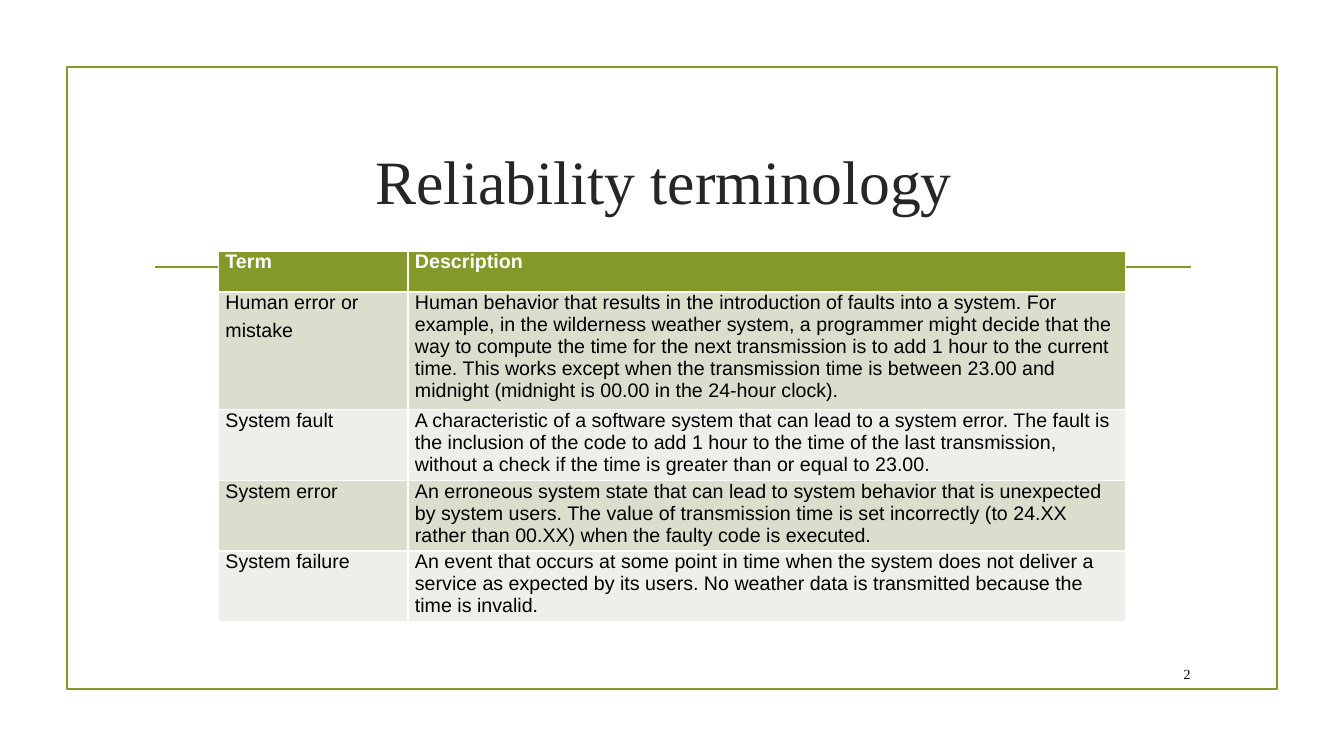
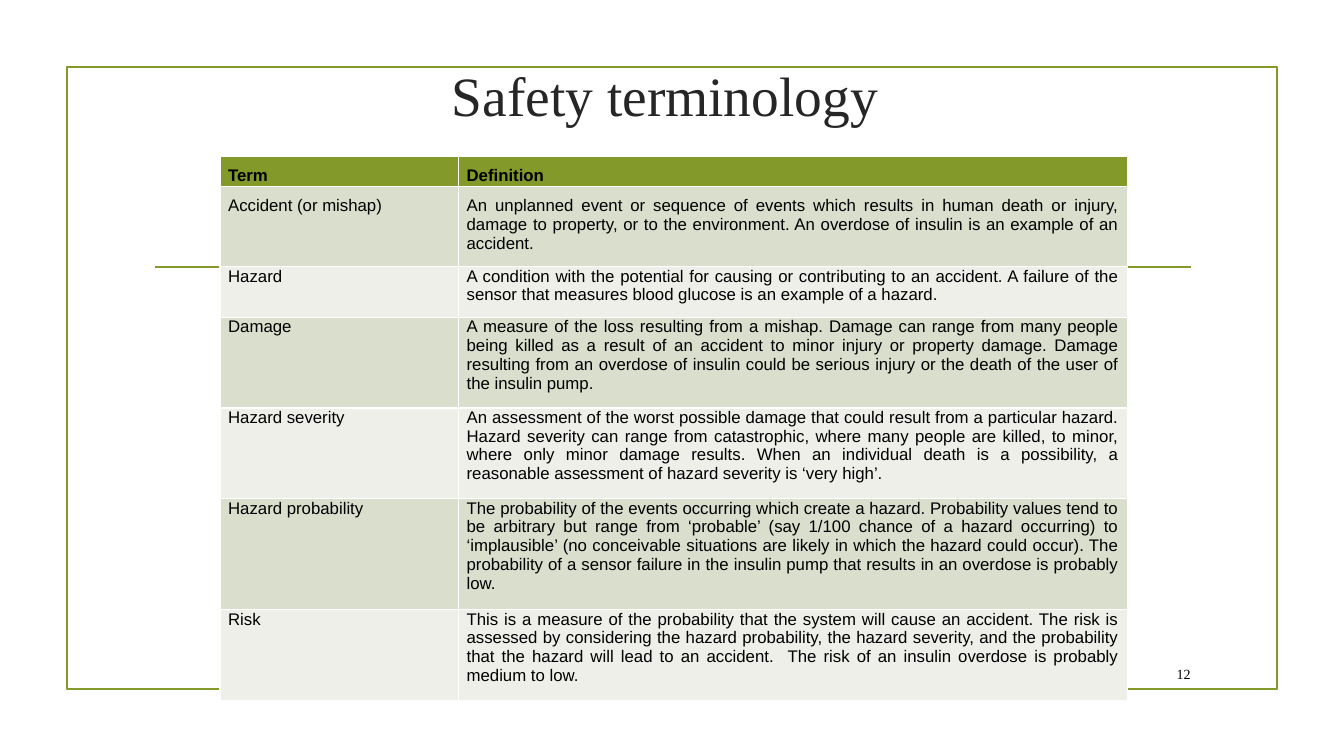
import lxml.etree
import pptx
import pptx.dml.color
import pptx.enum.shapes
import pptx.enum.text
import pptx.oxml.ns
import pptx.util

WIDTH, HEIGHT = 13.33, 7.5
COLUMNS, ROWS = 40, 22.5
GREEN, DARK, BLACK, WHITE = "83992A", "262626", "000000", "FFFFFF"
BANDS = ("D9DECD", "EDEFE8")
SERIF, SANS = "Times New Roman", "Arial"
ALIGN = pptx.enum.text.PP_ALIGN
ANCHOR = pptx.enum.text.MSO_ANCHOR

RELIABILITY = [
    ("Term", "Description"),
    ("Human error or\nmistake",
     "Human behavior that results in the introduction of faults into a system. "
     "For example, in the wilderness weather system, a programmer might decide "
     "that the way to compute the time for the next transmission is to add 1 hour "
     "to the current time. This works except when the transmission time is between "
     "23.00 and midnight (midnight is 00.00 in the 24-hour clock)."),
    ("System fault",
     "A characteristic of a software system that can lead to a system error. The "
     "fault is the inclusion of the code to add 1 hour to the time of the last "
     "transmission, without a check if the time is greater than or equal to 23.00."),
    ("System error",
     "An erroneous system state that can lead to system behavior that is unexpected "
     "by system users. The value of transmission time is set incorrectly (to 24.XX "
     "rather than 00.XX) when the faulty code is executed."),
    ("System failure",
     "An event that occurs at some point in time when the system does not deliver a "
     "service as expected by its users. No weather data is transmitted because the "
     "time is invalid."),
]

SAFETY = [
    ("Term", "Definition"),
    ("Accident (or mishap)",
     "An unplanned event or sequence of events which results in human death or "
     "injury, damage to property, or to the environment. An overdose of insulin is "
     "an example of an accident."),
    ("Hazard",
     "A condition with the potential for causing or contributing to an accident. A "
     "failure of the sensor that measures blood glucose is an example of a hazard."),
    ("Damage",
     "A measure of the loss resulting from a mishap. Damage can range from many "
     "people being killed as a result of an accident to minor injury or property "
     "damage. Damage resulting from an overdose of insulin could be serious injury "
     "or the death of the user of the insulin pump."),
    ("Hazard severity",
     "An assessment of the worst possible damage that could result from a particular "
     "hazard. Hazard severity can range from catastrophic, where many people are "
     "killed, to minor, where only minor damage results. When an individual death is "
     "a possibility, a reasonable assessment of hazard severity is ‘very high’."),
    ("Hazard probability",
     "The probability of the events occurring which create a hazard. Probability "
     "values tend to be arbitrary but range from ‘probable’ (say 1/100 chance of a "
     "hazard occurring) to ‘implausible’ (no conceivable situations are likely in "
     "which the hazard could occur). The probability of a sensor failure in the "
     "insulin pump that results in an overdose is probably low."),
    ("Risk",
     "This is a measure of the probability that the system will cause an accident. "
     "The risk is assessed by considering the hazard probability, the hazard "
     "severity, and the probability that the hazard will lead to an accident.  The "
     "risk of an insulin overdose is probably medium to low."),
]


def color(value):
    return pptx.dml.color.RGBColor.from_string(value)


def across(columns):
    return pptx.util.Inches(WIDTH * columns / COLUMNS)


def down(rows):
    return pptx.util.Inches(HEIGHT * rows / ROWS)


def area(left, top, width, height):
    return across(left), down(top), across(width), down(height)


def write_text(frame, text, size, font=SANS, ink=BLACK, bold=False,
               align=ALIGN.LEFT, after=0):
    frame.word_wrap = True
    for index, line in enumerate(text.split("\n")):
        para = frame.add_paragraph() if index else frame.paragraphs[0]
        para.alignment = align
        para.space_after = pptx.util.Pt(after)
        span = para.add_run()
        span.text = line
        span.font.size = pptx.util.Pt(size)
        span.font.name = font
        span.font.bold = bold
        span.font.color.rgb = color(ink)


def add_text(page, place, text, **style):
    box = page.shapes.add_textbox(*area(*place))
    box.text_frame.vertical_anchor = ANCHOR.MIDDLE
    write_text(box.text_frame, text, font=SERIF, **style)


def style_line(line):
    line.color.rgb = color(GREEN)
    line.width = pptx.util.Pt(1.25)


def add_border(page):
    border = page.shapes.add_shape(
        pptx.enum.shapes.MSO_SHAPE.RECTANGLE, *area(2, 2, 36, 18.5))
    border.shadow.inherit = False
    border.fill.background()
    style_line(border.line)


def add_rule(page):
    rule = page.shapes.add_connector(
        pptx.enum.shapes.MSO_CONNECTOR.STRAIGHT,
        across(4.6), down(7.95), across(35.44), down(7.95))
    style_line(rule.line)
    lxml.etree.SubElement(rule._element.spPr, pptx.oxml.ns.qn("a:effectLst"))


def add_page(deck, title, title_top, title_height, title_size, number):
    page = deck.slides.add_slide(deck.slide_layouts[6])
    page.background.fill.solid()
    page.background.fill.fore_color.rgb = color(WHITE)
    add_border(page)
    add_rule(page)
    add_text(page, (4.25, title_top, 31.5, title_height), title,
             size=title_size, ink=DARK, align=ALIGN.CENTER)
    add_text(page, (33.96, 19.6, 1.77, 0.92), number,
             size=10, align=ALIGN.RIGHT)
    return page


def outline_cell(cell):
    properties = cell._tc.get_or_add_tcPr()
    for side in ("a:lnL", "a:lnR", "a:lnT", "a:lnB"):
        edge = lxml.etree.SubElement(
            properties, pptx.oxml.ns.qn(side), w=str(pptx.util.Pt(1)))
        fill = lxml.etree.SubElement(edge, pptx.oxml.ns.qn("a:solidFill"))
        lxml.etree.SubElement(fill, pptx.oxml.ns.qn("a:srgbClr"), val=WHITE)


def fill_cell(cell, text, fill, insets, **style):
    outline_cell(cell)
    cell.fill.solid()
    cell.fill.fore_color.rgb = color(fill)
    side, top, bottom = map(pptx.util.Inches, insets)
    cell.margin_left = cell.margin_right = side
    cell.margin_top, cell.margin_bottom = top, bottom
    write_text(cell.text_frame, text, **style)


def add_terms(page, content, left, top, widths, heights, insets, header_ink, **style):
    table = page.shapes.add_table(
        len(content), len(widths),
        *area(left, top, sum(widths), sum(heights))).table
    table.first_row = table.horz_banding = False
    for column, width in zip(table.columns, widths):
        column.width = across(width)
    for index, texts in enumerate(content):
        table.rows[index].height = down(heights[index])
        header = index == 0
        fill = GREEN if header else BANDS[(index - 1) % 2]
        for cell, text in zip(table.rows[index].cells, texts):
            fill_cell(cell, text, fill, insets[index], bold=header,
                      ink=header_ink if header else BLACK, **style)


def main():
    deck = pptx.Presentation()
    deck.slide_width = pptx.util.Inches(WIDTH)
    deck.slide_height = pptx.util.Inches(HEIGHT)

    page = add_page(deck, "Reliability terminology ", 3.2, 4.3, 44, "2")
    add_terms(page, RELIABILITY, 6.5, 7.47, (5.64, 21.36),
              (1.22, 3.27, 1.96, 1.96, 1.96), [(0.07, 0, 0)] * 5,
              WHITE, size=14, after=4)

    page = add_page(deck, "Safety terminology ", 1.8, 2, 39.6, "12")
    add_terms(page, SAFETY, 6.55, 4.64, (7.1, 19.9),
              (0.85, 2.29, 1.43, 2.54, 2.54, 3.1, 2.54),
              [(0.08, 0.1, 0), (0.08, 0.1, 0.1)] + [(0.08, 0, 0.1)] * 5,
              BLACK, size=12, align=ALIGN.JUSTIFY)

    deck.save("out.pptx")


if __name__ == "__main__":
    main()
